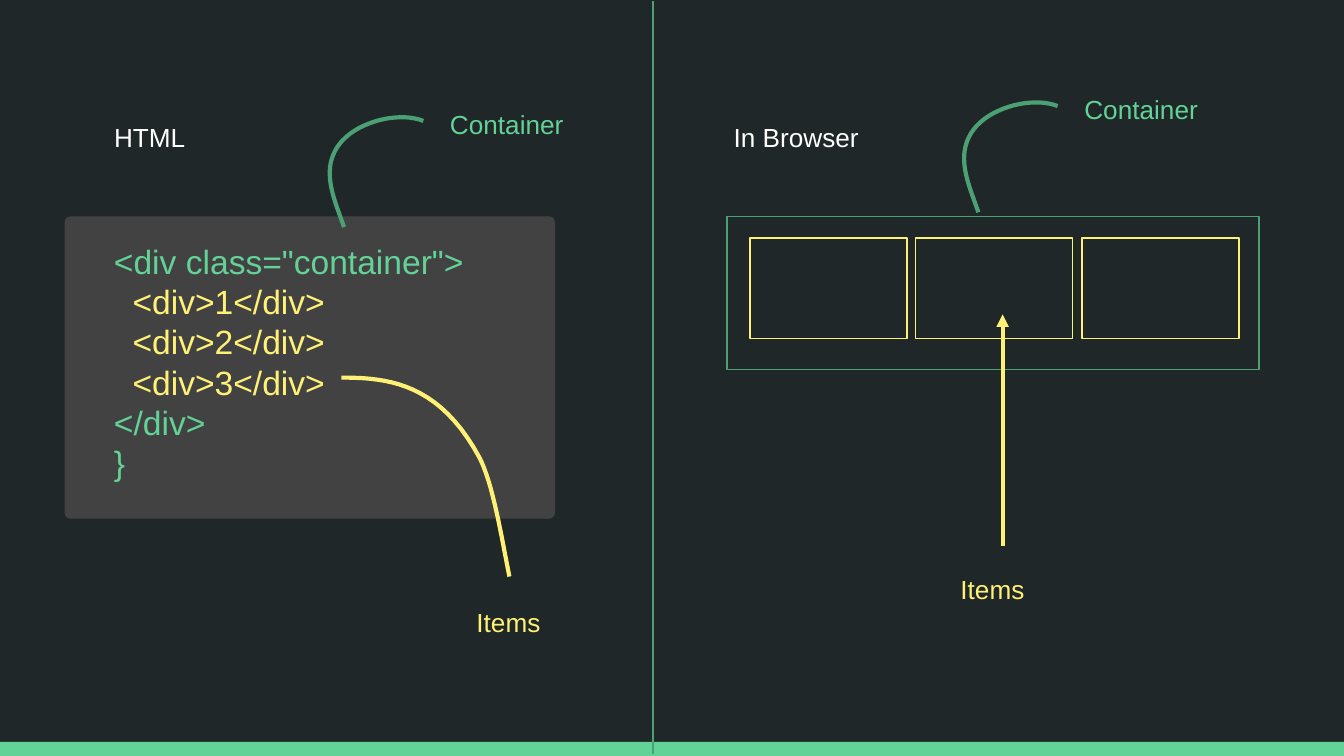
"""Build a slide comparing container and items in HTML and in the browser."""
from lxml import etree
from pptx import Presentation
from pptx import util as u
from pptx.dml.color import RGBColor
from pptx.enum import shapes, text
from pptx.oxml import ns

Inches, Pt = u.Inches, u.Pt
COLORS = {
    "background": "202729",
    "panel": "424242",
    "green": "63D297",
    "outline": "4BA173",
    "yellow": "FFF176",
    "white": "FFFFFF",
}
RGB = {name: RGBColor.from_string(value) for name, value in COLORS.items()}
ALIGN = text.PP_ALIGN
SHAPE = shapes.MSO_SHAPE


def style(sp, fill=None, line=None, width=0.75):
    """Set the fill and line of a shape and remove its shadow."""
    sp.shadow.inherit = False
    if fill:
        sp.fill.solid()
        sp.fill.fore_color.rgb = RGB[fill]
    else:
        sp.fill.background()
    if line:
        sp.line.color.rgb = RGB[line]
        sp.line.width = Pt(width)
    else:
        sp.line.fill.background()


def add_text(s, box, lines, size=14, align=ALIGN.LEFT, spacing=1.15):
    """Add a text box with one paragraph per (wording, colour) line."""
    tf = s.shapes.add_textbox(*map(Inches, box)).text_frame
    frame = {"word_wrap": True, "vertical_anchor": text.MSO_ANCHOR.TOP}
    for side in ("left", "top", "right", "bottom"):
        frame[f"margin_{side}"] = Inches(0.1)
    for name, value in frame.items():
        setattr(tf, name, value)
    for i, (wording, color) in enumerate(lines):
        p = tf.add_paragraph() if i else tf.paragraphs[0]
        p.alignment = align
        p.line_spacing = spacing
        r = p.add_run()
        r.text = wording
        for name, value in {"name": "Arial", "size": Pt(size)}.items():
            setattr(r.font, name, value)
        r.font.color.rgb = RGB[color]


prs = Presentation()
prs.slide_width = Inches(10)
prs.slide_height = prs.slide_width * 9 // 16
s = prs.slides.add_slide(prs.slide_layouts[6])
s.background.fill.solid()
s.background.fill.fore_color.rgb = RGB["background"]

bar_top = Inches(5.52)
bar = s.shapes.add_shape(
    SHAPE.RECTANGLE, 0, bar_top, prs.slide_width, prs.slide_height - bar_top)
style(bar, fill="green")

panel = s.shapes.add_shape(SHAPE.ROUNDED_RECTANGLE, *map(Inches, (0.48, 1.61, 3.65, 2.25)))
panel.adjustments[0] = 0.02
style(panel, fill="panel")

code = [('<div class="container">', "green")]
code += [(f"  <div>{n}</div>", "yellow") for n in (1, 2, 3)]
code += [("</div>", "green"), ("}", "green")]
add_text(s, (0.75, 1.69, 3.53, 2.37), code, size=18, spacing=1.0)

boxes = [((5.41, 1.61, 3.96, 1.14), "outline")]
boxes += [((left, 1.77, 1.17, 0.75), "yellow") for left in (5.58, 6.81, 8.05)]
for box, color in boxes:
    style(s.shapes.add_shape(SHAPE.RECTANGLE, *map(Inches, box)), line=color)

labels = [
    ((0.75, 0.77, 1.72, 0.37), "HTML", "white", ALIGN.LEFT),
    ((5.36, 0.77, 2.22, 0.6), "In Browser", "white", ALIGN.LEFT),
    ((3.25, 0.67, 1.53, 0.53), "Container", "green", ALIGN.LEFT),
    ((7.97, 0.56, 1.53, 0.53), "Container", "green", ALIGN.LEFT),
    ((2.87, 4.38, 1.25, 0.56), "Items", "yellow", ALIGN.RIGHT),
    ((6.76, 4.13, 1.25, 0.56), "Items", "yellow", ALIGN.CENTER),
]
for box, wording, color, align in labels:
    add_text(s, box, [(wording, color)], align=align)

hook = [(2.56, 1.69), (2.5, 1.51), (2.4, 1.31), (2.49, 1.13),
        (2.59, 0.92), (2.95, 0.82), (3.15, 0.9)]
sweep = [(3.79, 4.29), (3.73, 3.99), (3.67, 3.61), (3.57, 3.41),
         (3.27, 2.85), (2.89, 2.81), (2.54, 2.81)]
curves = [
    (hook, "outline"),
    ([(x + 4.72, y - 0.11) for x, y in hook], "outline"),
    (sweep, "yellow"),
]
STEPS = 20
for controls, color in curves:
    points = []
    for k in (0, 3):
        for t in (n / STEPS for n in range(1, STEPS + 1)):
            weights = ((1 - t) ** 3, 3 * t * (1 - t) ** 2, 3 * t * t * (1 - t), t ** 3)
            points.append(tuple(
                Inches(sum(w * c[axis] for w, c in zip(weights, controls[k:k + 4])))
                for axis in (0, 1)))
    fb = s.shapes.build_freeform(*map(Inches, controls[0]))
    fb.add_line_segments(points, close=False)
    style(fb.convert_to_shape(), line=color, width=2.25)

lines = [
    ((4.86, 0.01, 4.86, 5.61), "outline", 0.75, False),
    ((7.46, 4.06, 7.46, 2.34), "yellow", 2.25, True),
]
for ends, color, width, arrow in lines:
    c = s.shapes.add_connector(shapes.MSO_CONNECTOR.STRAIGHT, *map(Inches, ends))
    c.line.color.rgb = RGB[color]
    c.line.width = Pt(width)
    spPr = c._element.spPr
    if arrow:
        etree.SubElement(spPr.find(ns.qn("a:ln")), ns.qn("a:tailEnd"), type="triangle")
    etree.SubElement(spPr, ns.qn("a:effectLst"))

prs.save("out.pptx")
